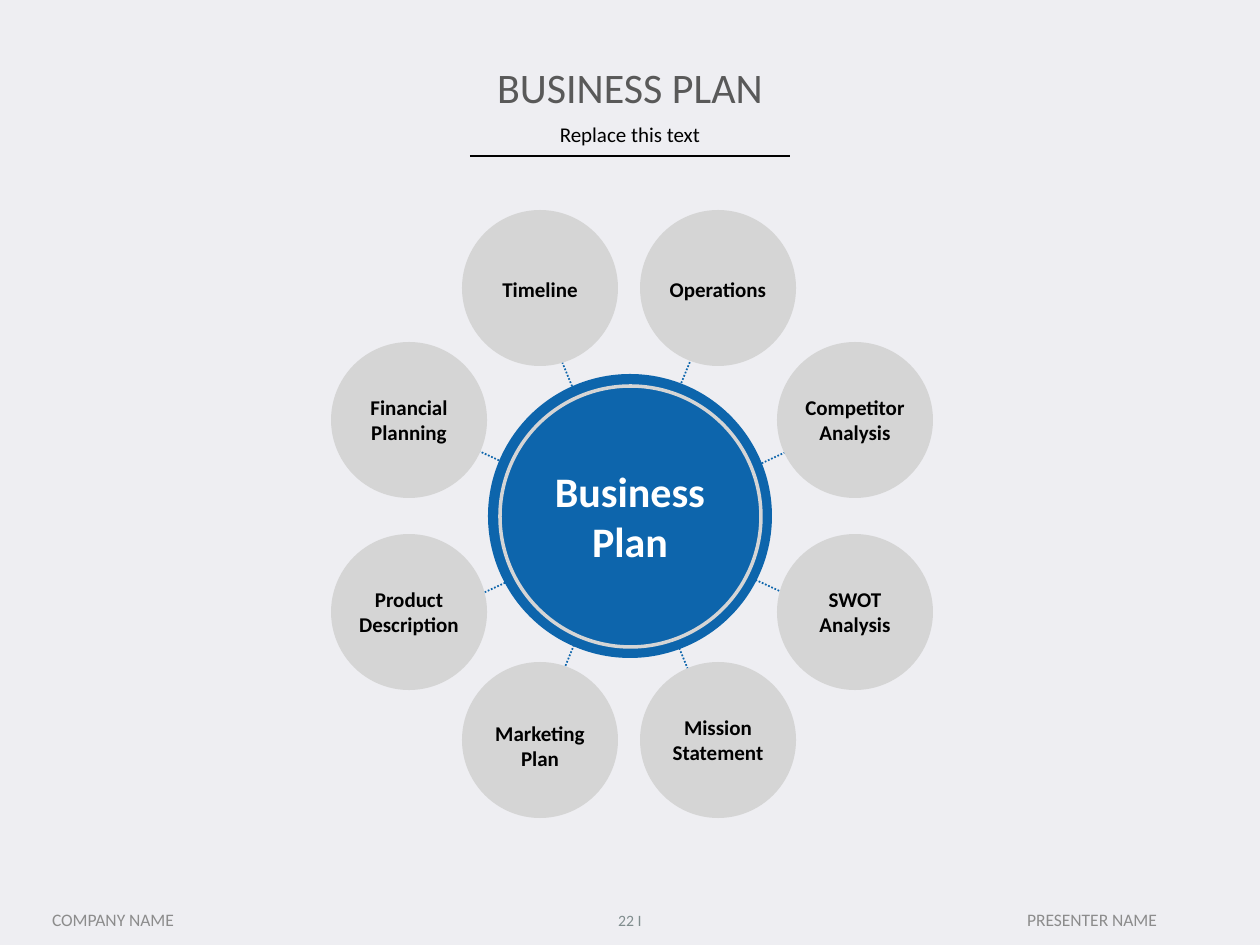
import pptx
import pptx.util
import pptx.dml.color
import pptx.enum.dml
import pptx.enum.shapes
import pptx.enum.text
import pptx.oxml.ns
import lxml.etree

RGB = pptx.dml.color.RGBColor
BACK = RGB(0xEE, 0xEE, 0xF2)
BLUE = RGB(0x0D, 0x65, 0xAC)
GREY = RGB(0xD5, 0xD5, 0xD5)
DARK = RGB(0x59, 0x59, 0x59)
MUTED = RGB(0x8C, 0x8C, 0x8C)
SLATE = RGB(0x7F, 0x8C, 0x8D)
BLACK = RGB(0, 0, 0)
WHITE = RGB(0xFF, 0xFF, 0xFF)

SCALE = 914400 / 126  # EMU in one px
OVAL = pptx.enum.shapes.MSO_SHAPE.OVAL
TOP = pptx.enum.text.MSO_ANCHOR.TOP
MID = pptx.enum.text.MSO_ANCHOR.MIDDLE
NODE = 156

# Name, left and top in the wheel, label width, height and drop
NODES = [
    ("Financial Planning", 0, 132, 134, 62, 46),
    ("Product Description", 0, 324, 134, 62, 46),
    ("Competitor Analysis", 446, 132, 134, 62, 46),
    ("SWOT Analysis", 446, 324, 134, 62, 46),
    ("Timeline", 131, 0, 102, 38, 60),
    ("Operations", 309, 0, 124, 38, 60),
    ("Marketing Plan", 131, 452, 134, 62, 52),
    ("Mission Statement", 309, 452, 134, 62, 46),
]
# Box that each crossing pair of spokes spans in the wheel
SPOKES = [(218, 120, 372, 496), (135, 235, 470, 391)]


def px(*nums):
    return [round(n * SCALE) for n in nums]


def write(shape, text, size, color, bold=False, anchor=MID, wrap=True, **form):
    frame = shape.text_frame
    frame.word_wrap = wrap
    frame.vertical_anchor = anchor
    para = frame.paragraphs[0]
    form["alignment"] = pptx.enum.text.PP_ALIGN.CENTER
    for key, val in form.items():
        setattr(para, key, val)
    run = para.add_run()
    run.text = text
    font = {"name": "Calibri", "size": pptx.util.Pt(size), "bold": bold}
    for key, val in font.items():
        setattr(run.font, key, val)
    run.font.color.rgb = color


def label(slide, box, *args, **form):
    write(slide.shapes.add_textbox(*px(*box)), *args, **form)


def disc(slide, left, top, size, fill=None, edge=None):
    shape = slide.shapes.add_shape(OVAL, *px(left, top, size, size))
    shape.shadow.inherit = False
    if fill is None:
        shape.fill.background()
    else:
        shape.fill.solid()
        shape.fill.fore_color.rgb = fill
    if edge is None:
        shape.line.fill.background()
    else:
        shape.line.color.rgb = edge
        shape.line.width = pptx.util.Pt(2)
    return shape


def rule(slide, ends, color, dash=None):
    kind = pptx.enum.shapes.MSO_CONNECTOR.STRAIGHT
    line = slide.shapes.add_connector(kind, *px(*ends))
    line.line.color.rgb = color
    line.line.width = pptx.util.Pt(1)
    if dash is not None:
        line.line.dash_style = dash
    props = line._element.spPr
    lxml.etree.SubElement(props, pptx.oxml.ns.qn("a:effectLst"))


def head(slide, left, top, wide):
    mid = left + wide // 2
    rule(slide, (mid - 160, top + 101, mid + 160, top + 101), BLACK)
    label(slide, (left, top + 65, wide, 34), "Replace this text", 12, BLACK,
          anchor=TOP, line_spacing=0.8, space_before=pptx.util.Pt(2.4))
    label(slide, (left, top, wide, 63), "BUSINESS PLAN", 24, DARK)


def wheel(slide, left, top):
    # Spokes
    dots = pptx.enum.dml.MSO_LINE.ROUND_DOT
    for x1, y1, x2, y2 in SPOKES:
        for start, end in ((x1, x2), (x2, x1)):
            ends = (left + start, top + y1, left + end, top + y2)
            rule(slide, ends, BLUE, dots)
    # Outer discs, then their labels
    for name, x, y, *rest in NODES:
        disc(slide, left + x, top + y, NODE, GREY)
    for name, x, y, wide, high, drop in NODES:
        box = (left + x + (NODE - wide) // 2, top + y + drop, wide, high)
        label(slide, box, name, 12, BLACK, bold=True, anchor=TOP,
              wrap=" " in name)
    # Hub and ring
    hub = disc(slide, left + 157, top + 164, 284, BLUE)
    write(hub, "Business Plan", 24, WHITE, bold=True)
    disc(slide, left + 169, top + 176, 261, edge=GREY)


def foot(slide, top):
    label(slide, (21, top, 184, 53), "COMPANY NAME", 10, MUTED)
    label(slide, (598, top + 2, 64, 50), "22 I", 9, SLATE)
    label(slide, (945, top, 294, 53), "PRESENTER NAME", 10, MUTED)


def main():
    deck = pptx.Presentation()
    deck.slide_width, deck.slide_height = px(1260, 945)
    slide = deck.slides.add_slide(deck.slide_layouts[6])
    slide.background.fill.solid()
    slide.background.fill.fore_color.rgb = BACK
    head(slide, 87, 55, 1086)
    wheel(slide, 331, 210)
    foot(slide, 893)
    deck.save("out.pptx")


if __name__ == "__main__":
    main()
